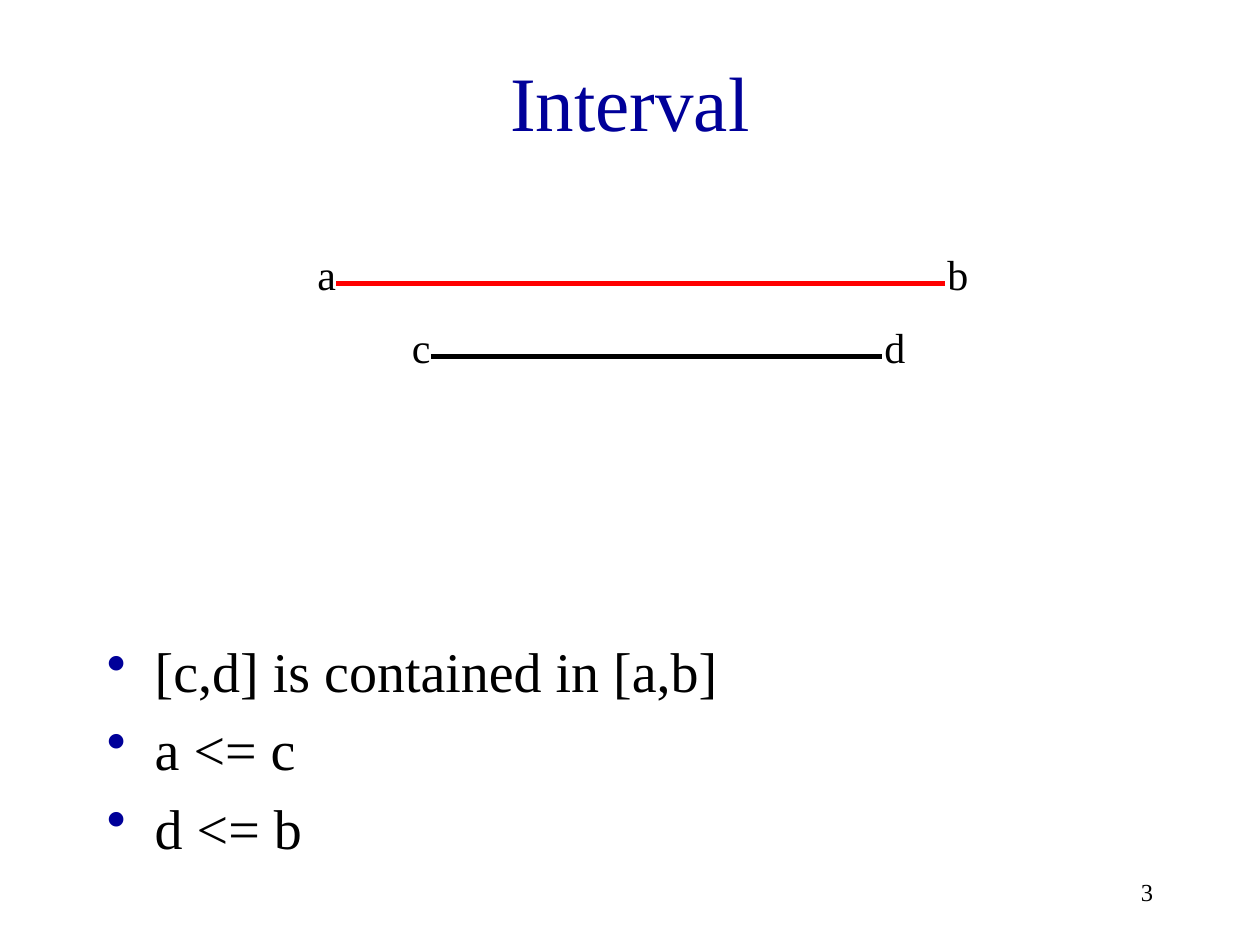
from dataclasses import dataclass

from lxml import etree
from pptx import Presentation
from pptx.dml.color import RGBColor
from pptx.enum.shapes import MSO_CONNECTOR
from pptx.enum.text import MSO_ANCHOR, PP_ALIGN
from pptx.oxml.ns import qn
from pptx.shapes.autoshape import Shape
from pptx.slide import Slide
from pptx.util import Inches, Pt

STRAIGHT = MSO_CONNECTOR.STRAIGHT
TOP, MIDDLE = MSO_ANCHOR.TOP, MSO_ANCHOR.MIDDLE
LEFT, CENTER, RIGHT = PP_ALIGN.LEFT, PP_ALIGN.CENTER, PP_ALIGN.RIGHT

FONT = "Times New Roman"
NAVY, RED, BLACK = "000099", "FF0000", "000000"
BULLET_INDENT = 0.38
LABEL_RISE, START_OFFSET, END_OFFSET = 0.33, 0.25, 0.08


@dataclass(frozen=True)
class TextBlock:
    text: str
    left: float
    top: float
    width: float
    height: float
    size: float
    color: str = BLACK
    align: PP_ALIGN = LEFT
    anchor: MSO_ANCHOR = TOP


@dataclass(frozen=True)
class Interval:
    start_label: str
    end_label: str
    start: float
    end: float
    y: float
    color: str
    start_width: float
    end_width: float


TITLE = TextBlock("Interval", 0.75, 0.17, 8.5, 1.25, 44, NAVY, CENTER, MIDDLE)
STATEMENTS = TextBlock(
    "[c,d] is contained in [a,b]\na <= c\nd <= b", 0.75, 5, 8.5, 1.67, 32
)
PAGE_NUMBER = TextBlock("3", 7.17, 6.83, 2.08, 0.5, 14, BLACK, RIGHT, MIDDLE)
INTERVALS = (
    Interval("a", "b", 2.67, 7.5, 2.25, RED, 0.25, 0.42),
    Interval("c", "d", 3.42, 7, 2.83, BLACK, 0.35, 0.37),
)


def rgb(value: str) -> RGBColor:
    """Turn a hex string into a colour."""
    return RGBColor.from_string(value)


def add_text(slide: Slide, block: TextBlock) -> Shape:
    """Add a wrapped text box with one style throughout."""
    shape = slide.shapes.add_textbox(
        Inches(block.left), Inches(block.top), Inches(block.width), Inches(block.height)
    )
    text_frame = shape.text_frame
    text_frame.word_wrap = True
    text_frame.vertical_anchor = block.anchor
    text_frame.text = block.text
    for paragraph in text_frame.paragraphs:
        paragraph.alignment = block.align
        for run in paragraph.runs:
            run.font.name = FONT
            run.font.size = Pt(block.size)
            run.font.color.rgb = rgb(block.color)
    return shape


def add_bullets(shape: Shape, color: str) -> None:
    """Give every paragraph a coloured bullet and a hanging indent."""
    for index, paragraph in enumerate(shape.text_frame.paragraphs):
        paragraph.space_before = Pt(6.4 if index else 0)
        properties = paragraph._p.get_or_add_pPr()
        properties.set("marL", str(Inches(BULLET_INDENT)))
        properties.set("indent", str(-Inches(BULLET_INDENT)))
        bullet_color = etree.SubElement(properties, qn("a:buClr"))
        etree.SubElement(bullet_color, qn("a:srgbClr"), val=color)
        etree.SubElement(properties, qn("a:buChar"), char="•")


def add_interval(slide: Slide, interval: Interval) -> None:
    """Draw an interval as a line with a label at each end."""
    y = Inches(interval.y)
    line = slide.shapes.add_connector(
        STRAIGHT, Inches(interval.start), y, Inches(interval.end), y
    )
    line.line.color.rgb = rgb(interval.color)
    line.line.width = Pt(3)
    etree.SubElement(line._element.spPr, qn("a:effectLst"))
    labels = (
        (interval.start_label, interval.start - START_OFFSET, interval.start_width),
        (interval.end_label, interval.end - END_OFFSET, interval.end_width),
    )
    for text, left, width in labels:
        add_text(slide, TextBlock(text, left, interval.y - LABEL_RISE, width, 0.51, 24))


def main() -> None:
    """Build the slide and save it."""
    presentation = Presentation()
    presentation.slide_width = Inches(10)
    presentation.slide_height = Inches(7.5)
    slide = presentation.slides.add_slide(presentation.slide_layouts[6])
    add_text(slide, TITLE)
    add_bullets(add_text(slide, STATEMENTS), NAVY)
    for interval in INTERVALS:
        add_interval(slide, interval)
    add_text(slide, PAGE_NUMBER)
    presentation.save("out.pptx")


if __name__ == "__main__":
    main()
